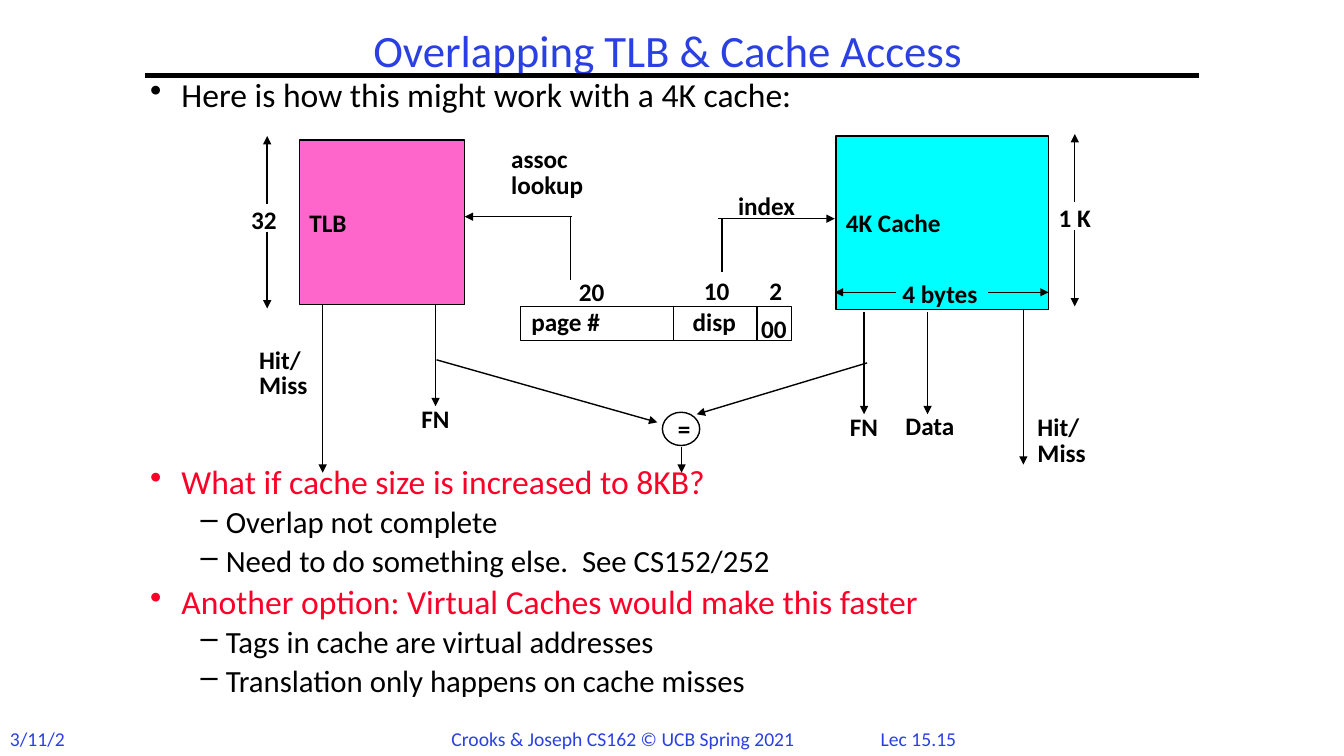
from pptx import Presentation
from pptx.dml.color import RGBColor
from pptx.enum.shapes import MSO_CONNECTOR, MSO_SHAPE
from pptx.enum.text import MSO_ANCHOR, MSO_AUTO_SIZE, PP_ALIGN
from pptx.oxml.ns import qn
from pptx.util import Inches, Pt
from lxml import etree

STRAIGHT = MSO_CONNECTOR.STRAIGHT
RECTANGLE, OVAL = MSO_SHAPE.RECTANGLE, MSO_SHAPE.OVAL
MIDDLE = MSO_ANCHOR.MIDDLE
GROW, FIXED = MSO_AUTO_SIZE.SHAPE_TO_FIT_TEXT, MSO_AUTO_SIZE.NONE
LEFT, CENTER = PP_ALIGN.LEFT, PP_ALIGN.CENTER

BLACK, BLUE, RED = "000000", "2A40E2", "FC0128"
PINK, CYAN = "FF66CC", "00FFFF"
WIDE, NARROW = (0.1, 0.05), (0.07, 0.03)


def color(value):
    """Return the colour for a hex string."""
    return RGBColor.from_string(value)


class Sketch:
    """Draws styled elements on one slide, on a grid of ten cells to the inch."""

    font = "Calibri"
    cell = Inches(0.1)

    def __init__(self, slide):
        self.slide = slide

    def grid(self, *cells):
        """Convert columns and rows to lengths."""
        return [round(self.cell * count) for count in cells]

    def frame(self, shape, insets, wrap):
        """Set the margins and wrapping of a shape's text."""
        text = shape.text_frame
        text.margin_left = text.margin_right = Inches(insets[0])
        text.margin_top = text.margin_bottom = Inches(insets[1])
        text.word_wrap = wrap
        return text

    def style(self, paragraph, size, ink, bold=False, align=LEFT, spacing=1.0):
        """Apply font, alignment and line spacing to a paragraph."""
        paragraph.alignment = align
        paragraph.line_spacing = spacing
        font = paragraph.font
        font.name, font.size, font.bold = self.font, Pt(size), bold
        font.color.rgb = color(ink)

    def title(self, wording, *place):
        """Fill and place the title placeholder."""
        heading = self.slide.shapes.title
        heading.left, heading.top, heading.width, heading.height = self.grid(*place)
        text = self.frame(heading, WIDE, True)
        text.auto_size, text.vertical_anchor = FIXED, MIDDLE
        text.text = wording
        self.style(text.paragraphs[0], 32, BLUE, align=CENTER, spacing=0.9)

    def box(self, place, insets, wrap=False):
        """Add an empty text box and return its text frame."""
        return self.frame(self.slide.shapes.add_textbox(*self.grid(*place)), insets, wrap)

    def footer(self, wording, *place, align=LEFT):
        """Add a line of footer text."""
        text = self.box(place, WIDE)
        text.text = wording
        self.style(text.paragraphs[0], 14, BLUE, align=align)

    def label(self, wording, *place):
        """Add a bold diagram label, one paragraph per line."""
        text = self.box(place, NARROW)
        text.auto_size = GROW
        text.text = wording
        for paragraph in text.paragraphs:
            self.style(paragraph, 18, BLACK, bold=True, spacing=0.85)

    def bullets(self, items, *place):
        """Add a list of (level, wording, colour) items."""
        text = self.box(place, NARROW, wrap=True)
        for number, (level, wording, ink) in enumerate(items):
            paragraph = text.add_paragraph() if number else text.paragraphs[0]
            paragraph.text, paragraph.level = wording, level
            margin, hang, mark, size, before = (
                (0.75, 0.25, "–", 22, 3.8) if level else (0.31, 0.31, "•", 24, 4.4))
            properties = paragraph._p.get_or_add_pPr()
            properties.set("marL", str(Inches(margin)))
            properties.set("indent", str(-Inches(hang)))
            etree.SubElement(properties, qn("a:buChar")).set("char", mark)
            paragraph.space_before = Pt(before if number else 0)
            self.style(paragraph, size, ink, spacing=0.9)

    def block(self, kind, wording, fill, *place):
        """Add an outlined shape with an optional name in it."""
        shape = self.slide.shapes.add_shape(kind, *self.grid(*place))
        shape.shadow.inherit = False
        if fill:
            shape.fill.solid()
            shape.fill.fore_color.rgb = color(fill)
        else:
            shape.fill.background()
        shape.line.color.rgb, shape.line.width = color(BLACK), Pt(1)
        if wording:
            text = self.frame(shape, WIDE, False)
            text.vertical_anchor = MIDDLE
            text.text = wording
            self.style(text.paragraphs[0], 18, BLACK, bold=True)

    def line(self, *ends, width=1, arrow=False):
        """Add a straight line, with an arrowhead at its end if asked."""
        wire = self.slide.shapes.add_connector(STRAIGHT, *self.grid(*ends))
        wire.line.color.rgb, wire.line.width = color(BLACK), Pt(width)
        if arrow:
            etree.SubElement(wire.line._get_or_add_ln(), qn("a:tailEnd")).set("type", "triangle")
        etree.SubElement(wire._element.spPr, qn("a:effectLst"))

    def arrow(self, *ends):
        """Add a thin arrow."""
        self.line(*ends, arrow=True)


def draw_memories(sketch):
    """Draw the TLB, the cache and their dimensions."""
    sketch.block(RECTANGLE, "TLB", PINK, 29.7, 13.9, 16.4, 16.3)
    sketch.block(RECTANGLE, "4K Cache", CYAN, 82.9, 13.5, 21.1, 17.2)
    for entries, left, width, axis, top in (
            ("32", 24.2, 4.2, 26.5, 13.5), ("1 K", 104.3, 5.3, 106.6, 13.3)):
        sketch.label(entries, left, top + 6.9, width, 3.1)
        sketch.arrow(axis, top + 6.7, axis, top)
        sketch.arrow(axis, top + 9.5, axis, top + 17.1)
    sketch.label("4 bytes", 88.8, 27.8, 10.1, 3.1)
    sketch.arrow(88.9, 29, 82.8, 29)
    sketch.arrow(98, 29, 104, 29)


def draw_address(sketch):
    """Draw the address fields and the paths that look them up."""
    top, bottom = 30.4, 33.8
    sketch.block(RECTANGLE, "", None, 51.6, top, 26.9, bottom - top)
    for divider in (66.8, 75.1):
        sketch.line(divider, top, divider, bottom)
    for wording, left, row, width in (
            ("20", 56.7, 27.6, 4.2), ("10", 69.1, 27.5, 4.2), ("2", 75.6, 27.5, 2.8),
            ("page #", 52, 30.5, 9.4), ("disp", 68, 30.5, 6.6), ("00", 74.8, 31.2, 4.2),
            ("index", 72.5, 19, 8)):
        sketch.label(wording, left, row, width, 3.1)
    sketch.label("assoc\nlookup", 50, 14.4, 9.7, 5.7)
    sketch.line(56.6, 21.5, 56.6, 27.8)
    sketch.arrow(56.7, 21.5, 46.1, 21.5)
    sketch.line(71.6, 21.6, 71.6, 27)
    sketch.arrow(71.2, 21.7, 82.8, 21.7)


def draw_outcome(sketch):
    """Draw the outputs and the comparison of frame numbers."""
    for column, start, end in (
            (32, 30.2, 46.9), (43.2, 30.2, 40.3), (85.7, 31, 41.1),
            (92, 31, 41.1), (101.5, 30.8, 46.1), (67.6, 44.3, 46.9)):
        sketch.arrow(column, start, column, end)
    for wording, left, row, width in (
            ("FN", 41.1, 40.2, 4.9), ("FN", 83.6, 41, 4.8), ("Data", 89.1, 40.9, 6.9)):
        sketch.label(wording, left, row, width, 3.1)
    for left, row in ((25, 34.3), (102.2, 41)):
        sketch.label("Hit/\nMiss", left, row, 7, 5.7)
    sketch.block(OVAL, "=", None, 65.7, 40.9, 3.7, 3.3)
    sketch.arrow(43.3, 35.7, 65.2, 41.9)
    sketch.arrow(86, 36, 69.1, 41.1)


def main():
    """Build and save the slide."""
    deck = Presentation()
    deck.slide_width, deck.slide_height = Inches(13.33), Inches(7.5)
    sketch = Sketch(deck.slides.add_slide(deck.slide_layouts[5]))
    sketch.title("Overlapping TLB & Cache Access", 27.5, 3.3, 77.5, 4)
    sketch.line(14.4, 7.5, 118.9, 7.5, width=3)
    sketch.footer("3/11/21", 0, 71.6, 8, 3.4)
    sketch.footer("Crooks & Joseph CS162 © UCB Spring 2021", 43.8, 71.6, 37.6, 3.4)
    sketch.footer("Lec 15.15", 85, 71.6, 12.2, 3.3, align=CENTER)
    sketch.bullets([(0, "Here is how this might work with a 4K cache:", BLACK)],
                   14.2, 7.5, 103.3, 4.3)
    sketch.bullets([
        (0, "What if cache size is increased to 8KB?", RED),
        (1, "Overlap not complete", BLACK),
        (1, "Need to do something else.  See CS152/252", BLACK),
        (0, "Another option: Virtual Caches would make this faster", RED),
        (1, "Tags in cache are virtual addresses", BLACK),
        (1, "Translation only happens on cache misses", BLACK),
    ], 14.2, 45.9, 103.3, 26.5)
    draw_memories(sketch)
    draw_address(sketch)
    draw_outcome(sketch)
    deck.save("out.pptx")


if __name__ == "__main__":
    main()
